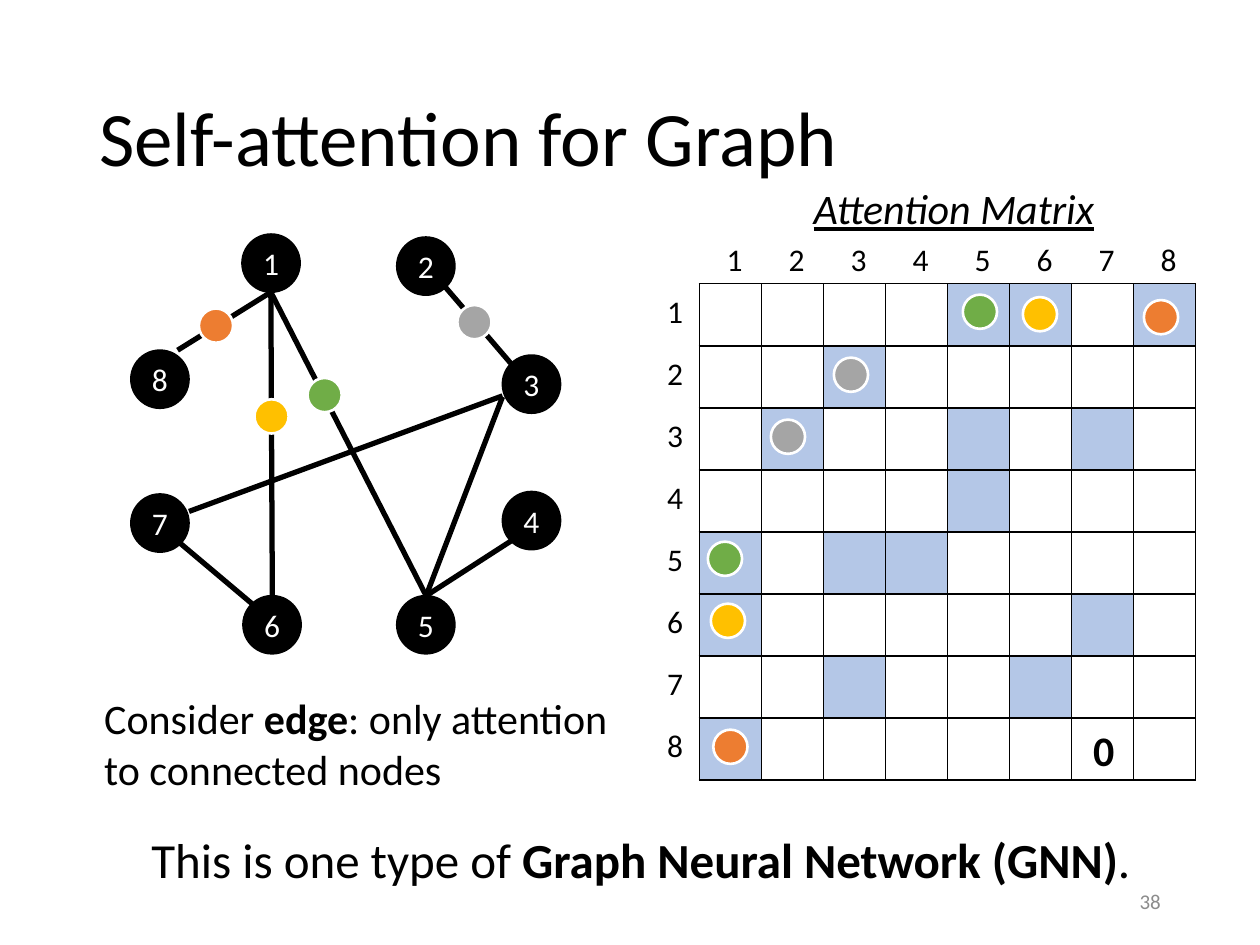
"""Build the slide "Self-attention for Graph": a graph beside its attention matrix."""
from dataclasses import dataclass

import lxml.etree
import pptx
import pptx.dml.color
import pptx.enum.shapes
import pptx.enum.text
import pptx.oxml.ns
import pptx.util

Cm = pptx.util.Cm
Pt = pptx.util.Pt
RGB = pptx.dml.color.RGBColor.from_string
Align = pptx.enum.text.PP_ALIGN
Anchor = pptx.enum.text.MSO_ANCHOR
Shape = pptx.enum.shapes.MSO_SHAPE
Connector = pptx.enum.shapes.MSO_CONNECTOR
qn = pptx.oxml.ns.qn


@dataclass(frozen=True)
class Theme:
    font: str = "Calibri"
    black: str = "000000"
    white: str = "FFFFFF"
    number: str = "8C8C8C"
    attended: str = "B4C7E7"
    orange: str = "ED7D31"
    yellow: str = "FFC000"
    green: str = "70AD47"
    gray: str = "A5A5A5"
    title: int = 44
    statement: int = 28
    body: int = 24
    label: int = 18
    footer: int = 12


theme = Theme()


def write(shape, spans, size, color=theme.black, align=Align.LEFT, anchor=Anchor.TOP):
    frame = shape.text_frame
    frame.word_wrap = True
    frame.vertical_anchor = anchor
    para = frame.paragraphs[0]
    para.alignment = align
    para.font.name = theme.font
    para.font.size = Pt(size)
    para.font.color.rgb = RGB(color)
    for text, bold in spans:
        span = para.add_run()
        span.text = text
        if bold:
            span.font.bold = True
    return para


def add_circle(left, top, size, fill, line, width):
    circle = page.shapes.add_shape(Shape.OVAL, Cm(left), Cm(top), Cm(size), Cm(size))
    circle.shadow.inherit = False
    circle.fill.solid()
    circle.fill.fore_color.rgb = RGB(fill)
    circle.line.color.rgb = RGB(line)
    circle.line.width = Pt(width)
    return circle


deck = pptx.Presentation()
deck.slide_width, deck.slide_height = Cm(25.4), Cm(19.05)
page = deck.slides.add_slide(deck.slide_layouts[6])

box = page.shapes.add_textbox(Cm(1.75), Cm(1.02), Cm(21.9), Cm(3.68))
title = write(box, [("Self-attention for Graph", False)], theme.title, anchor=Anchor.MIDDLE)
title.line_spacing = 0.9

count, cell_size = 8, 1.25
matrix_left, matrix_top = 14.1, 5.72
edges = {
    (1, 5): (5.46, 5.89, 8.59, 12.01),
    (1, 6): (5.46, 5.89, 5.49, 12.01),
    (3, 7): (10.13, 7.98, 3.81, 10.31),
    (1, 8): (5.46, 5.89, 3.58, 7.06),
    (2, 3): (8.92, 5.72, 10.31, 7.34),
    (3, 5): (10.13, 8, 8.59, 12.01),
    (4, 5): (10.31, 10.9, 8.59, 12.01),
    (6, 7): (5.08, 12.17, 3.63, 10.95),
}

matrix = page.shapes.add_table(
    count, count, Cm(matrix_left), Cm(matrix_top), Cm(count * cell_size), Cm(count * cell_size)
).table
matrix.first_row = matrix.horz_banding = False
for index in range(count):
    matrix.columns[index].width = matrix.rows[index].height = Cm(cell_size)
for row in range(1, count + 1):
    for column in range(1, count + 1):
        cell = matrix.cell(row - 1, column - 1)
        properties = cell._tc.get_or_add_tcPr()
        for side in ("a:lnL", "a:lnR", "a:lnT", "a:lnB"):
            border = lxml.etree.SubElement(properties, qn(side), w=str(Pt(1)))
            paint = lxml.etree.SubElement(border, qn("a:solidFill"))
            lxml.etree.SubElement(paint, qn("a:srgbClr"), val=theme.black)
        connected = (min(row, column), max(row, column)) in edges
        cell.fill.solid()
        cell.fill.fore_color.rgb = RGB(theme.attended if connected else theme.white)

box = page.shapes.add_textbox(Cm(1.85), Cm(13.84), Cm(11.25), Cm(2.31))
write(box, [("Consider ", False), ("edge", True), (": only attention to connected nodes", False)],
      theme.body)

box = page.shapes.add_textbox(Cm(14.81), Cm(3.56), Cm(8.84), Cm(1.27))
heading = write(box, [("Attention Matrix", False)], theme.body, align=Align.CENTER)
heading.font.italic = heading.font.underline = True

nodes = {
    1: (4.88, 4.72), 2: (8, 4.78), 3: (10.13, 7.16), 4: (10.13, 9.91),
    5: (8, 12.01), 6: (4.9, 12.01), 7: (2.64, 9.96), 8: (2.64, 7.06),
}
for name, (left, top) in nodes.items():
    node = add_circle(left, top, 1.17, theme.black, theme.black, 1)
    write(node, [(str(name), False)], theme.label, theme.white, Align.CENTER, Anchor.MIDDLE)

for ends in edges.values():
    edge = page.shapes.add_connector(Connector.STRAIGHT, *map(Cm, ends))
    edge.line.color.rgb = RGB(theme.black)
    edge.line.width = Pt(3)
    lxml.etree.SubElement(edge._element.spPr, qn("a:effectLst"))

for index in range(count):
    step = index * cell_size
    for left, top in ((12.9, 5.77 + step), (matrix_left + step, 4.72)):
        box = page.shapes.add_textbox(Cm(left), Cm(top), Cm(1.12), Cm(1.02))
        write(box, [(str(index + 1), False)], theme.label, align=Align.RIGHT)

box = page.shapes.add_textbox(Cm(0.74), Cm(16.59), Cm(24.36), Cm(1.45))
write(box, [("This is one type of ", False), ("Graph Neural Network (GNN)", True), (".", False)],
      theme.statement, align=Align.CENTER)

box = page.shapes.add_textbox(Cm(17.93), Cm(17.65), Cm(5.72), Cm(1.02))
write(box, [("38", False)], theme.footer, theme.number, Align.RIGHT, Anchor.MIDDLE)

box = page.shapes.add_textbox(Cm(21.69), Cm(14.48), Cm(1.12), Cm(1.27))
write(box, [("0", True)], theme.body, align=Align.CENTER)

edge_dots = {
    theme.orange: ((4.01, 6.22), (14.38, 14.71), (23.06, 6.05)),
    theme.yellow: ((5.13, 8.05), (14.33, 12.17), (20.62, 5.99)),
    theme.green: ((6.2, 7.62), (14.27, 10.92), (19.41, 5.94)),
    theme.gray: ((9.22, 6.15), (15.54, 8.46), (16.81, 7.21)),
}
for color, places in edge_dots.items():
    for left, top in places:
        add_circle(left, top, 0.69, color, theme.white, 1.5)

deck.save("out.pptx")
